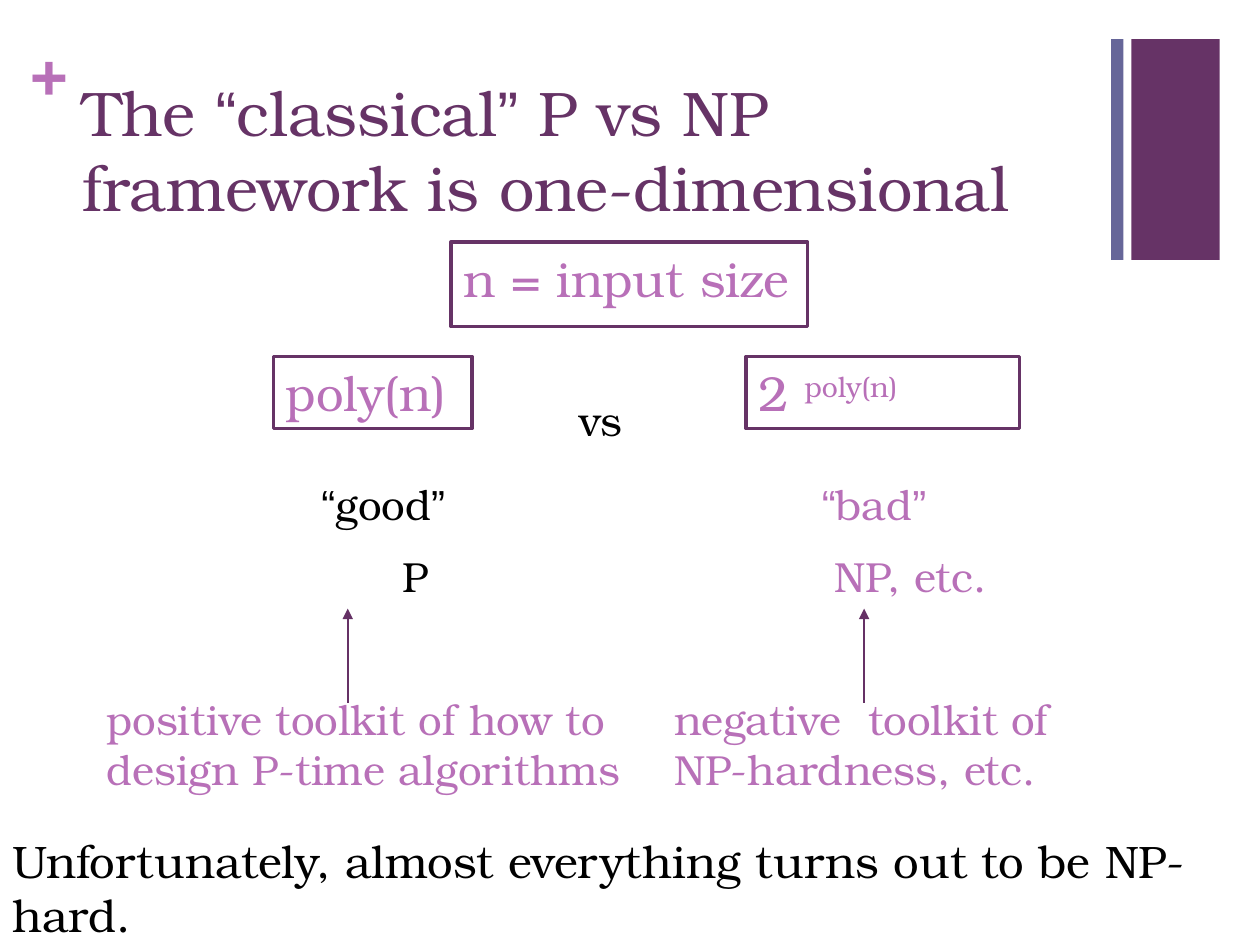
"""Build the slide on the one-dimensional P vs NP framework."""
from itertools import groupby

from lxml.etree import SubElement
from pptx import Presentation
from pptx.dml.color import RGBColor
from pptx.enum.shapes import MSO_CONNECTOR as Connector, MSO_SHAPE as Shape
from pptx.enum.text import MSO_ANCHOR as Anchor, MSO_AUTO_SIZE as AutoSize, PP_ALIGN as Align
from pptx.oxml.ns import qn
from pptx.util import Cm, Pt

color = RGBColor.from_string
PURPLE, PINK, SLATE, BLACK, WHITE = "663366", "B870B8", "666699", "000000", "FFFFFF"


def write(para, text, size, ink, bold=False):
    para.alignment = Align.LEFT
    for is_quote, letters in groupby(text, key=lambda letter: letter in "“”"):
        span = para.add_run()
        span.text = "".join(letters)
        span.font.name = "Arial" if is_quote else "TeX Gyre Bonum"
        span.font.size = Pt(size)
        span.font.bold = bold
        span.font.color.rgb = color(ink)
    return span


def add_box(page, left, top, width, height):
    box = page.shapes.add_textbox(Cm(left), Cm(top), Cm(width), Cm(height))
    box.text_frame.word_wrap = True
    return box


deck = Presentation()
deck.slide_width, deck.slide_height = Cm(25.4), Cm(19.05)
page = deck.slides.add_slide(deck.slide_layouts[1])

for left, width, fill in [(22.81, 1.78, PURPLE), (22.4, 0.25, SLATE)]:
    bar = page.shapes.add_shape(Shape.RECTANGLE, Cm(left), Cm(0.79), Cm(width), Cm(4.45))
    bar.shadow.inherit = False
    bar.fill.solid()
    bar.fill.fore_color.rgb = color(fill)
    bar.line.fill.background()

plus = add_box(page, 0.61, 0.64, 0.74, 1.55).text_frame
plus.margin_left = plus.margin_right = plus.margin_top = plus.margin_bottom = 0
plus.word_wrap = False
write(plus.paragraphs[0], "+", 36, PINK, bold=True)

title, size_box = page.shapes.title, page.placeholders[1]
title.left, title.top, title.width, title.height = Cm(1.4), Cm(1.35), Cm(20.98), Cm(3.1)
size_box.left, size_box.top, size_box.width, size_box.height = Cm(9.09), Cm(4.88), Cm(7.19), Cm(1.7)
for holder in (title, size_box):
    holder.text_frame.auto_size = AutoSize.NONE
    holder.text_frame.vertical_anchor = Anchor.TOP
write(title.text_frame.paragraphs[0],
      "The “classical” P vs NP framework is one-dimensional", 36, PURPLE)

size_para = size_box.text_frame.paragraphs[0]
properties = size_para._p.get_or_add_pPr()
properties.set("marL", "0")
properties.set("indent", "0")
SubElement(properties, qn("a:buNone"))
size_para.space_before = Pt(0)
write(size_para, "n = input size", 28, PINK)

poly_box = add_box(page, 5.51, 7.19, 4.01, 1.45)
write(poly_box.text_frame.paragraphs[0], "poly(n)", 28, PINK)
power_box = add_box(page, 15.04, 7.19, 5.51, 1.45)
power_para = power_box.text_frame.paragraphs[0]
write(power_para, "2 ", 28, PINK)
exponent = write(power_para, "poly(n)", 28, PINK)
exponent._r.get_or_add_rPr().set("baseline", "30000")

for box in (size_box, poly_box, power_box):
    box.fill.solid()
    box.fill.fore_color.rgb = color(WHITE)
    box.line.color.rgb = color(PURPLE)
    box.line.width = Pt(2)

versus = add_box(page, 11.43, 7.82, 2.34, 1.27)
write(versus.text_frame.paragraphs[0], "vs", 24, BLACK)

columns = [
    (1.9, 12.07, 7.01, BLACK, [("“good”", 4.33), ("P", 5.97)],
     "positive toolkit of how to design P-time algorithms"),
    (13.34, 8.69, 17.42, PINK, [("“bad”", 2.98), ("NP, etc.", 3.24)],
     "negative  toolkit of NP-hardness, etc."),
]
for left, width, arrow_x, ink, verdicts, toolkit in columns:
    frame = add_box(page, left, 9.53, width, 6.93).text_frame
    for row, (text, indent) in enumerate(verdicts):
        para = frame.add_paragraph() if row else frame.paragraphs[0]
        para._p.get_or_add_pPr().set("marL", str(Cm(indent)))
        para.space_before = Pt(12 * row)
        write(para, text, 24, ink)
    para = frame.add_paragraph()
    para.space_before = Pt(53)
    write(para, toolkit, 24, PINK)

    arrow = page.shapes.add_connector(
        Connector.STRAIGHT, Cm(arrow_x), Cm(14.17), Cm(arrow_x), Cm(12.27))
    arrow.line.color.rgb = color("653165")
    arrow.line.width = Pt(1)
    SubElement(arrow.line._get_or_add_ln(), qn("a:tailEnd"), type="triangle")
    SubElement(arrow._element.spPr, qn("a:effectLst"))

conclusion = add_box(page, 0, 16.66, 26.47, 1.37)
write(conclusion.text_frame.paragraphs[0],
      "Unfortunately, almost everything turns out to be NP-hard.", 26, BLACK)

deck.save("out.pptx")
